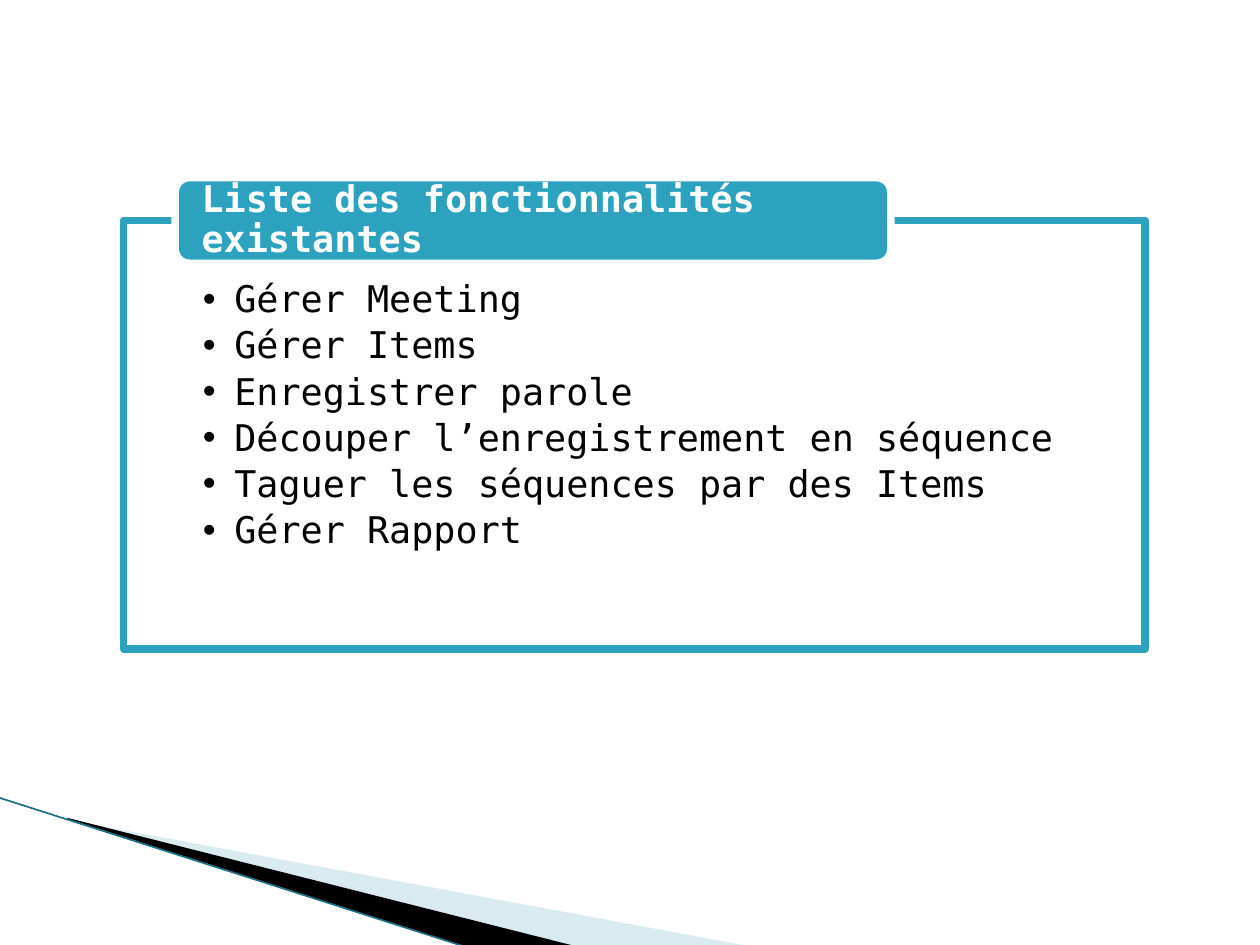
from lxml.etree import SubElement
from pptx import Presentation
from pptx.dml.color import RGBColor
from pptx.enum.shapes import MSO_CONNECTOR, MSO_SHAPE
from pptx.enum.text import MSO_ANCHOR, MSO_AUTO_SIZE, PP_ALIGN
from pptx.oxml.ns import qn
from pptx.util import Inches, Pt

TITLE = "Liste des fonctionnalités existantes"
FEATURES = [
    "Gérer Meeting",
    "Gérer Items",
    "Enregistrer parole",
    "Découper l’enregistrement en séquence",
    "Taguer les séquences par des Items",
    "Gérer Rapport",
]

TEAL = RGBColor(0x2D, 0xA2, 0xBF)
DARK_TEAL = RGBColor(0x1B, 0x70, 0x83)
PALE_BLUE = RGBColor(0xA0, 0xCB, 0xDC)
WHITE = RGBColor(0xFF, 0xFF, 0xFF)
BLACK = RGBColor(0, 0, 0)

FONT = {"name": "DejaVu Sans Mono", "size": Pt(21)}
BORDER = 4.33
PANEL = (0.98, 1.75, 8.11, 3.4)
TAB = (1.39, 1.41, 5.68, 0.68)
PANEL_INSETS = (0.63, 0.48, 0.63, 0.16)
TAB_INSETS = (0.21, 0, 0.21, 0)

# Corner wedges: outline, colour, opacity in percent
WEDGES = [
    ([(0.55, 6.51), (5.95, 7.51), (4.56, 7.51), (0.55, 6.5)], PALE_BLUE, 40),
    ([(0.53, 6.49), (4.57, 7.51), (3.72, 7.52), (0.54, 6.5)], BLACK, 100),
]
EDGE = (-0.01, 6.33, 3.71, 7.52)


def inches(values):
    """Convert a sequence of numbers to lengths."""
    return [Inches(v) for v in values]


def paint(sp, fill, opacity=100, line=None):
    """Give a shape its fill, opacity and outline, without a shadow."""
    sp.shadow.inherit = False
    sp.fill.solid()
    sp.fill.fore_color.rgb = fill
    if opacity < 100:
        color = sp.fill._xPr.find(".//" + qn("a:srgbClr"))
        SubElement(color, qn("a:alpha"), val=str(opacity * 1000))
    if line is None:
        sp.line.fill.background()
    else:
        sp.line.color.rgb = line
        sp.line.width = Pt(BORDER)


def add_wedge(s, points, color, opacity):
    """Draw one closed corner wedge."""
    start, *rest = [inches(p) for p in points]
    builder = s.shapes.build_freeform(*start)
    builder.add_line_segments(rest, close=True)
    paint(builder.convert_to_shape(), color, opacity)


def add_edge(s):
    """Draw the thin line along the wedges."""
    line = s.shapes.add_connector(MSO_CONNECTOR.STRAIGHT, *inches(EDGE))
    line.line.color.rgb = DARK_TEAL
    line.line.width = Pt(0.95)
    SubElement(line._element.spPr, qn("a:effectLst"))


def set_frame(tf, insets, anchor):
    """Set the margins, wrapping and anchor of a text frame."""
    left, top, right, bottom = inches(insets)
    options = {"margin_left": left, "margin_top": top,
               "margin_right": right, "margin_bottom": bottom,
               "word_wrap": True, "auto_size": MSO_AUTO_SIZE.NONE,
               "vertical_anchor": anchor}
    for name, value in options.items():
        setattr(tf, name, value)


def write(p, text, color, bold=False, after=0):
    """Fill a paragraph with one formatted run."""
    p.alignment = PP_ALIGN.LEFT
    p.line_spacing = 0.9
    p.space_before = Pt(0)
    p.space_after = Pt(after)
    r = p.add_run()
    r.text = text
    for name, value in {**FONT, "bold": bold}.items():
        setattr(r.font, name, value)
    r.font.color.rgb = color


def add_bullet(p):
    """Give a paragraph a hanging round bullet."""
    pPr = p._p.get_or_add_pPr()
    indent = Inches(0.25)
    pPr.set("marL", str(indent))
    pPr.set("indent", str(-indent))
    SubElement(pPr, qn("a:buFont"), typeface="Arial")
    SubElement(pPr, qn("a:buChar"), char="•")


def add_panel(s):
    """Draw the framed panel with the feature list."""
    panel = s.shapes.add_shape(MSO_SHAPE.RECTANGLE, *inches(PANEL))
    paint(panel, WHITE, 90, TEAL)
    tf = panel.text_frame
    set_frame(tf, PANEL_INSETS, MSO_ANCHOR.TOP)
    for i, feature in enumerate(FEATURES):
        p = tf.add_paragraph() if i else tf.paragraphs[0]
        write(p, feature, BLACK, after=3.7)
        add_bullet(p)


def add_title(s):
    """Draw the rounded tab and lay the title over it."""
    tab = s.shapes.add_shape(MSO_SHAPE.ROUNDED_RECTANGLE, *inches(TAB))
    paint(tab, TEAL, line=WHITE)
    title = s.shapes.title
    title.left, title.top, title.width, title.height = inches(TAB)
    set_frame(title.text_frame, TAB_INSETS, MSO_ANCHOR.MIDDLE)
    write(title.text_frame.paragraphs[0], TITLE, WHITE, bold=True)
    tab._element.addnext(title._element)


prs = Presentation()
prs.slide_width, prs.slide_height = inches((10, 7.5))
s = prs.slides.add_slide(prs.slide_layouts[5])
for wedge in WEDGES:
    add_wedge(s, *wedge)
add_edge(s)
add_panel(s)
add_title(s)
prs.save("out.pptx")
